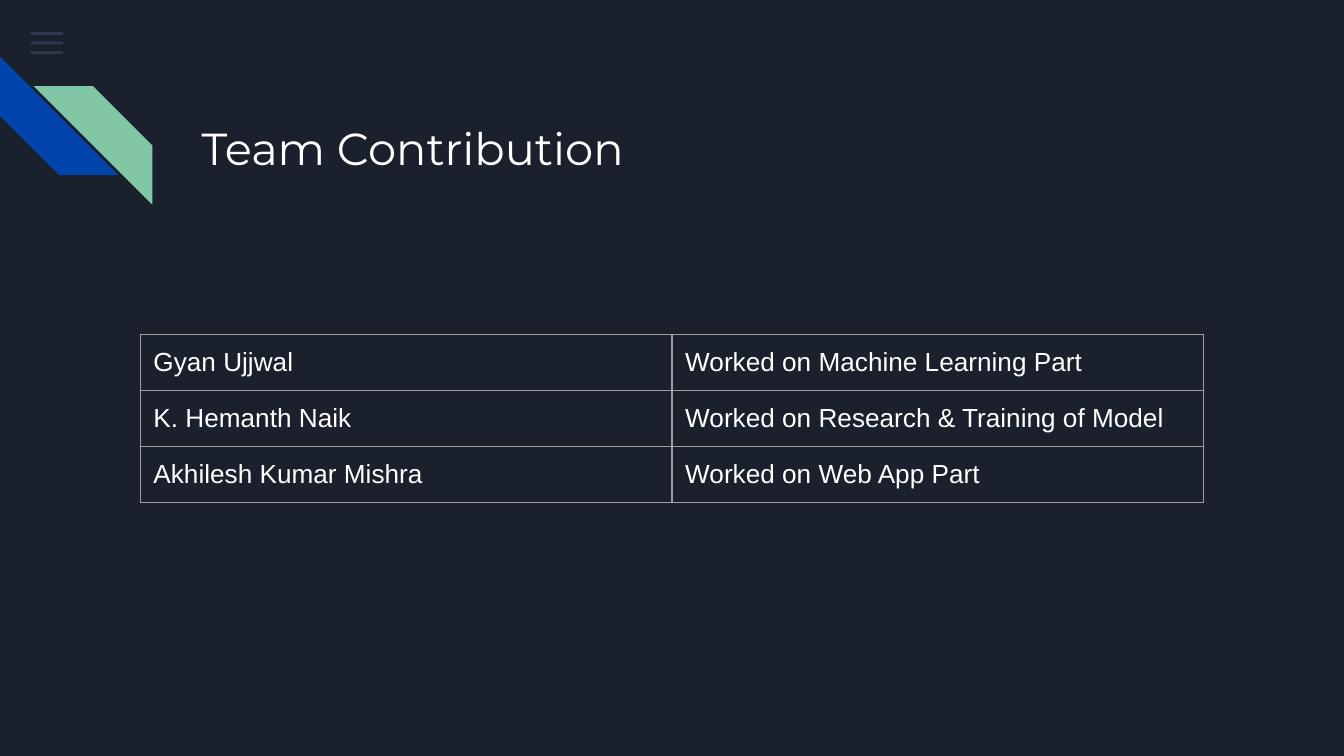
"""Build the team contribution slide."""
from dataclasses import dataclass

from lxml import etree
from pptx import Presentation
from pptx.dml.color import RGBColor
from pptx.enum.shapes import MSO_SHAPE
from pptx.enum.text import MSO_ANCHOR, PP_ALIGN
from pptx.oxml.ns import qn
from pptx.util import Cm, Pt

RECT = MSO_SHAPE.RECTANGLE
STRIPE = MSO_SHAPE.DIAGONAL_STRIPE
TOP = MSO_ANCHOR.TOP
LEFT = PP_ALIGN.LEFT

NIGHT = RGBColor(0x1B, 0x21, 0x2C)
SLATE = RGBColor(0x55, 0x68, 0x8B)
BLUE = RGBColor(0x01, 0x45, 0xAC)
GREEN = RGBColor(0x82, 0xC7, 0xA5)
GREY = RGBColor(0x9E, 0x9E, 0x9E)
WHITE = RGBColor(0xFF, 0xFF, 0xFF)
INSET = Cm(0.25)


@dataclass
class Mark:
    kind: int
    left: float
    top: float
    width: float
    height: float
    color: RGBColor
    turn: int = 0
    flip: bool = False
    alpha: int = 100


@dataclass
class Member:
    name: str
    task: str


BARS = [Mark(RECT, 0.58, 0.61 + 0.18 * i, 0.61, 0.05, SLATE, alpha=36)
        for i in range(3)]
BANDS = [
    Mark(STRIPE, 0, 1.07, 2.24, 2.24, BLUE, turn=270),
    Mark(STRIPE, 0.64, 1.63, 2.24, 2.24, GREEN, flip=True),
]
TEAM = [
    Member("Gyan Ujjwal", "Worked on Machine Learning Part"),
    Member("K. Hemanth Naik", "Worked on Research & Training of Model"),
    Member("Akhilesh Kumar Mishra", "Worked on Web App Part"),
]


def draw_mark(slide, mark: Mark) -> None:
    """Draw one plain decorative shape."""
    shape = slide.shapes.add_shape(mark.kind, Cm(mark.left), Cm(mark.top),
                                   Cm(mark.width), Cm(mark.height))
    shape.shadow.inherit = False
    shape.fill.solid()
    shape.fill.fore_color.rgb = mark.color
    shape.line.fill.background()
    shape.rotation = mark.turn
    props = shape.element.spPr
    if mark.flip:
        props.find(qn("a:xfrm")).set("flipH", "1")
    if mark.alpha < 100:
        tint = props.find(qn("a:solidFill")).find(qn("a:srgbClr"))
        etree.SubElement(tint, qn("a:alpha")).set("val", str(mark.alpha * 1000))


def write(frame, text: str, font: str, size: int) -> None:
    """Put one white run into a text frame."""
    line = frame.paragraphs[0]
    line.alignment = LEFT
    run = line.add_run()
    run.text = text
    run.font.name = font
    run.font.size = Pt(size)
    run.font.color.rgb = WHITE


def pad(box) -> None:
    """Give a frame or cell equal margins."""
    box.margin_left = box.margin_right = INSET
    box.margin_top = box.margin_bottom = INSET
    box.vertical_anchor = TOP


def draw_title(slide, text: str) -> None:
    """Place and fill the title."""
    title = slide.shapes.title
    title.left, title.top = Cm(3.56), Cm(2.03)
    title.width, title.height = Cm(19.56), Cm(2.54)
    frame = title.text_frame
    frame.word_wrap = True
    pad(frame)
    write(frame, text, "Montserrat", 24)


def edge(cell) -> None:
    """Line all four sides of a cell."""
    props = cell._tc.get_or_add_tcPr()
    for side in ("lnL", "lnR", "lnT", "lnB"):
        line = etree.SubElement(props, qn(f"a:{side}"), w=str(Pt(0.75)))
        fill = etree.SubElement(line, qn("a:solidFill"))
        etree.SubElement(fill, qn("a:srgbClr"), val=str(GREY))


def draw_team(slide, team: list[Member]) -> None:
    """Draw the table of members and tasks."""
    table = slide.shapes.add_table(len(team), 2, Cm(2.65), Cm(6.32),
                                   Cm(20.1), Cm(1.06 * len(team))).table
    table.first_row = table.horz_banding = False
    for row, member in enumerate(team):
        for col, text in enumerate((member.name, member.task)):
            cell = table.cell(row, col)
            edge(cell)
            cell.fill.background()
            pad(cell)
            write(cell.text_frame, text, "Arial", 14)


def main() -> None:
    """Build and save the slide."""
    deck = Presentation()
    deck.slide_width, deck.slide_height = Cm(25.4), Cm(14.29)
    slide = deck.slides.add_slide(deck.slide_layouts[5])
    slide.background.fill.solid()
    slide.background.fill.fore_color.rgb = NIGHT
    for mark in BARS + BANDS:
        draw_mark(slide, mark)
    draw_title(slide, "Team Contribution")
    draw_team(slide, TEAM)
    deck.save("out.pptx")


if __name__ == "__main__":
    main()
